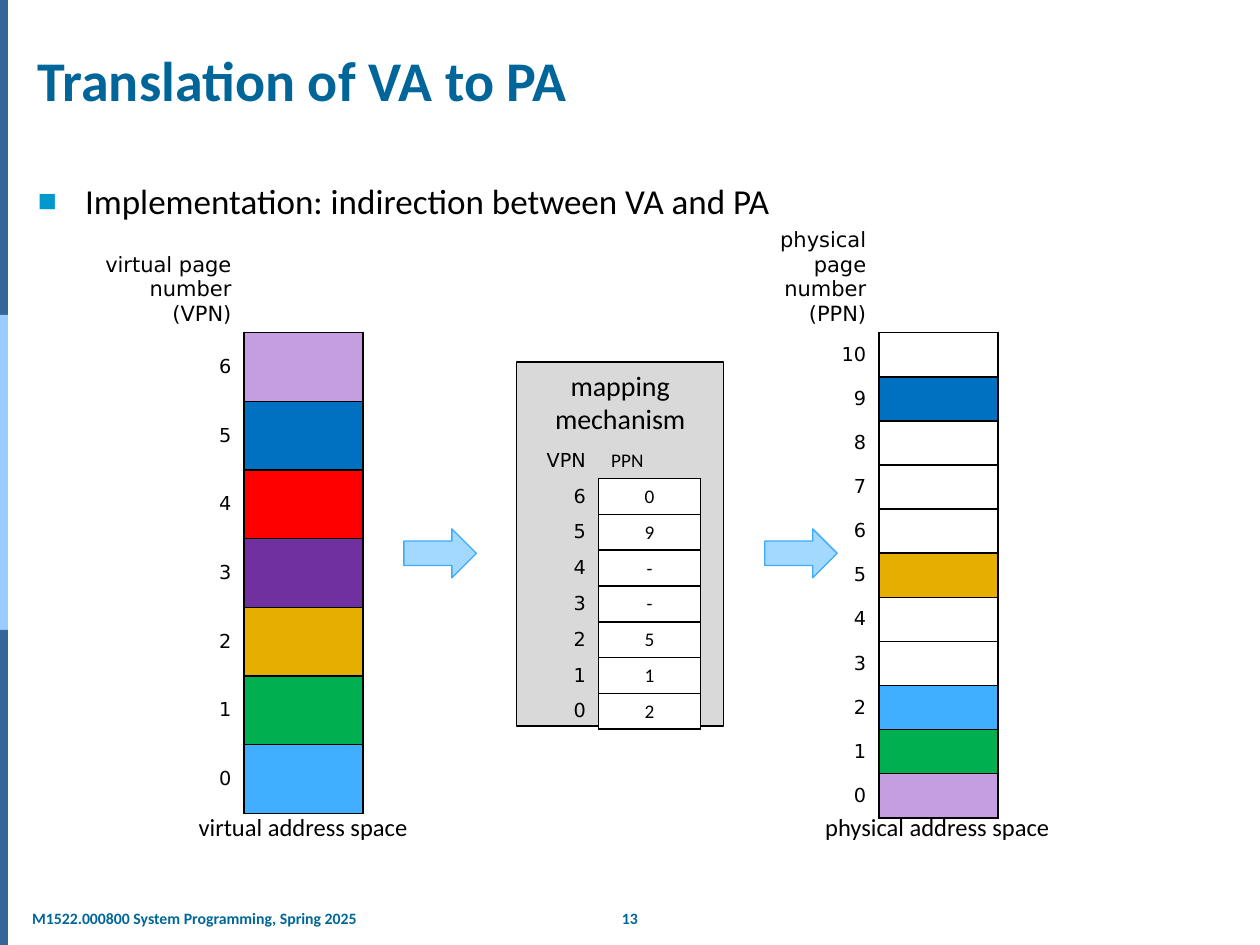
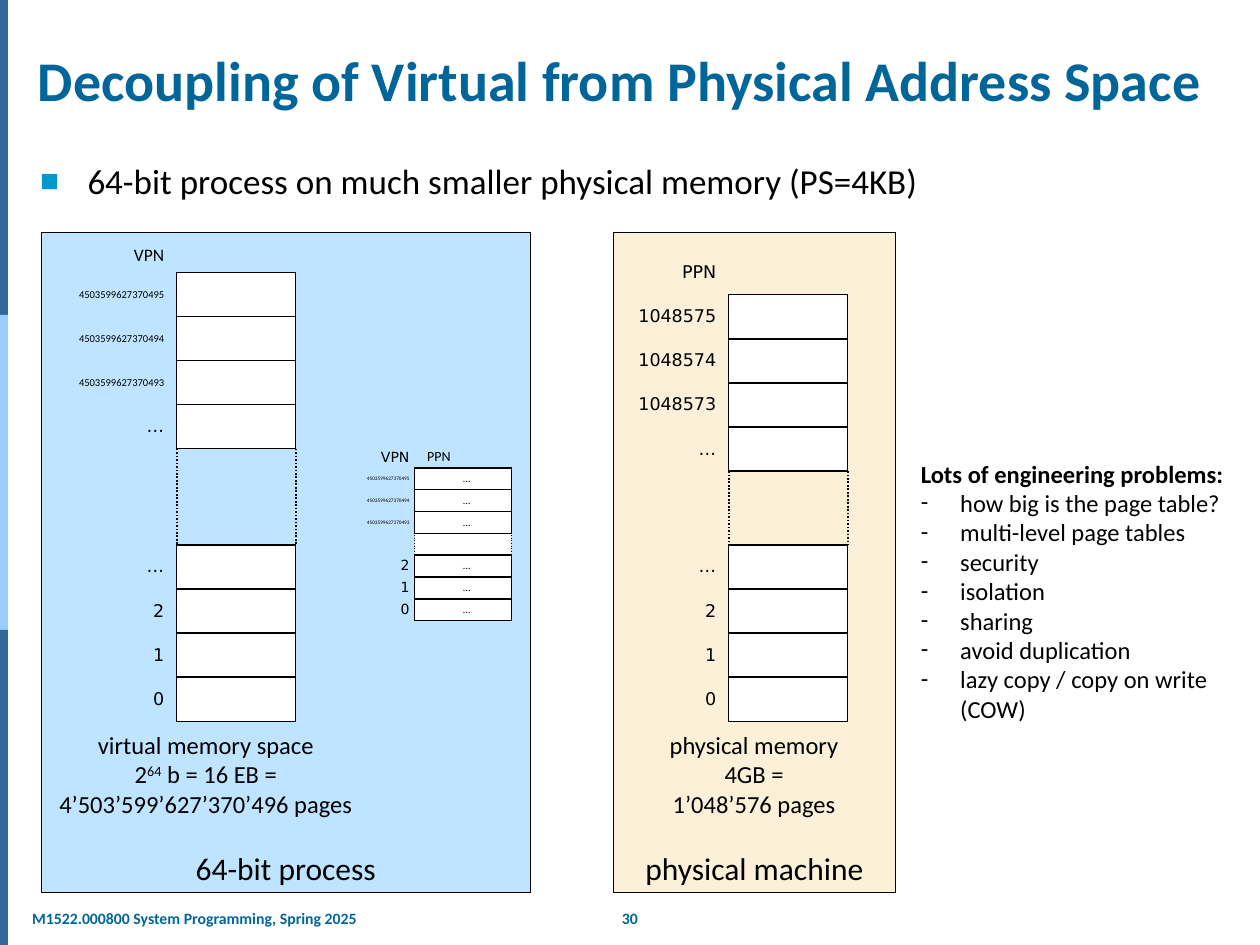
from lxml import etree
from pptx import Presentation
from pptx.dml.color import RGBColor
from pptx.enum.dml import MSO_LINE
from pptx.enum.shapes import MSO_CONNECTOR, MSO_SHAPE
from pptx.enum.text import MSO_ANCHOR, MSO_AUTO_SIZE, PP_ALIGN
from pptx.oxml.ns import qn
from pptx.util import Pt

LEFT, CENTER, RIGHT = PP_ALIGN.LEFT, PP_ALIGN.CENTER, PP_ALIGN.RIGHT
TOP, MIDDLE, BOTTOM = MSO_ANCHOR.TOP, MSO_ANCHOR.MIDDLE, MSO_ANCHOR.BOTTOM
DOTTED = MSO_LINE.ROUND_DOT
RECTANGLE, RIGHT_ARROW = MSO_SHAPE.RECTANGLE, MSO_SHAPE.RIGHT_ARROW
STRAIGHT = MSO_CONNECTOR.STRAIGHT

TEXT_FONT, NUMBER_FONT = "Calibri", "DejaVu Sans"
PLAIN_TABLE_STYLE = "{2D5ABB26-0587-4C30-8999-92F81FD0307C}"

BLACK = RGBColor(0x00, 0x00, 0x00)
WHITE = RGBColor(0xFF, 0xFF, 0xFF)
TITLE_BLUE = RGBColor(0x00, 0x66, 0x99)
BAND_DARK = RGBColor(0x33, 0x66, 0x99)
BAND_LIGHT = RGBColor(0x99, 0xCC, 0xFF)
PANEL_GREY = RGBColor(0xD9, 0xD9, 0xD9)
PANEL_BLUE = RGBColor(0xBF, 0xE4, 0xFF)
PANEL_CREAM = RGBColor(0xFC, 0xF0, 0xD8)
ARROW_FILL = RGBColor(0xA3, 0xD8, 0xFF)
ARROW_LINE = RGBColor(0x3B, 0xAC, 0xFF)
LILAC = RGBColor(0xC5, 0x9E, 0xE2)
BLUE = RGBColor(0x00, 0x70, 0xC0)
RED = RGBColor(0xFF, 0x00, 0x00)
PURPLE = RGBColor(0x70, 0x30, 0xA0)
GOLD = RGBColor(0xE6, 0xAF, 0x00)
GREEN = RGBColor(0x00, 0xB0, 0x50)
SKY = RGBColor(0x40, 0xAF, 0xFF)


def write_text(target, text, size, align=LEFT, color=BLACK, bold=False, font=TEXT_FONT):
    """Fill a shape, placeholder or table cell with evenly formatted text."""
    frame = target.text_frame
    frame.word_wrap = True
    frame.text = text
    for paragraph in frame.paragraphs:
        paragraph.alignment = align
        for run in paragraph.runs:
            run.font.name = font
            run.font.size = Pt(size)
            run.font.bold = bold
            run.font.color.rgb = color


def add_page_table(slide, left, top, widths, heights, rows, header=True, size=11,
                   long_size=6, value_size=11, header_size=None, header_font=NUMBER_FONT,
                   header_anchor=BOTTOM, pad=3.6, right_pad=7.2):
    """Rows are (label, value, fill); a label of None marks the dotted gap row."""
    frame = slide.shapes.add_table(len(rows), 2, Pt(left), Pt(top), Pt(sum(widths)), Pt(sum(heights)))
    table = frame.table
    table.first_row = table.horz_banding = False
    for style in frame.element.iter(qn("a:tableStyleId")):
        style.text = PLAIN_TABLE_STYLE
    for column, width in zip(table.columns, widths):
        column.width = Pt(width)
    for index, (label, value, fill) in enumerate(rows):
        is_header = header and index == 0
        table.rows[index].height = Pt(heights[index])
        label_cell, value_cell = table.cell(index, 0), table.cell(index, 1)

        is_long = label is not None and label.isdigit() and len(label) > 10
        label_size = long_size if is_long else size
        label_font = TEXT_FONT if is_long else NUMBER_FONT
        if is_header:
            label_size, label_font = header_size or size, header_font
        value_align = LEFT if is_header else CENTER
        write_text(label_cell, label or "", label_size, RIGHT, font=label_font)
        write_text(value_cell, value, size if is_header else value_size, value_align)

        # Page frames have four borders; a header has only the one below it
        for side in ("B",) if is_header else ("L", "R", "T", "B"):
            properties = value_cell._tc.get_or_add_tcPr()
            border = etree.SubElement(properties, qn(f"a:ln{side}"), w=str(Pt(1)))
            solid = etree.SubElement(border, qn("a:solidFill"))
            etree.SubElement(solid, qn("a:srgbClr"), val=str(BLACK))
            if label is None and side in "LR":
                etree.SubElement(border, qn("a:prstDash"), val="sysDot")

        for cell in (label_cell, value_cell):
            cell.vertical_anchor = header_anchor if is_header else MIDDLE
            cell.margin_top = cell.margin_bottom = Pt(pad)
            cell.margin_right = Pt(right_pad)
            cell.margin_left = Pt(0 if cell is label_cell else 7.2)
            if cell is label_cell or is_header:
                cell.fill.background()
            else:
                cell.fill.solid()
                cell.fill.fore_color.rgb = fill
            if not cell.text:
                etree.SubElement(cell.text_frame.paragraphs[0]._p, qn("a:endParaRPr"), sz="600")


presentation = Presentation()
presentation.slide_width, presentation.slide_height = Pt(720), Pt(540)

# Shared layout: title position, side bands, footer
layout = presentation.slide_layouts[1]
for placeholder in list(layout.placeholders)[2:]:
    placeholder.element.getparent().remove(placeholder.element)
layout_title = layout.placeholders[0]
layout_title.left, layout_title.top = Pt(14.4), Pt(22.6)
layout_title.width, layout_title.height = Pt(694.8), Pt(45.4)

# Both slides: title, bullet and page number
slides = []
for title, bullet, body_left, body_top, page in (
    ("Translation of VA to PA",
     "Implementation: indirection between VA and PA", 14.4, 99.1, "13"),
    ("Decoupling of Virtual from Physical Address Space",
     "64-bit process on much smaller physical memory (PS=4KB)", 15.8, 87.4, "30"),
):
    slide = presentation.slides.add_slide(layout)
    slides.append(slide)
    write_text(slide.shapes.title, title, 32, color=TITLE_BLUE, bold=True)
    slide.shapes.title.text_frame.vertical_anchor = BOTTOM
    slide.shapes.title.text_frame.auto_size = MSO_AUTO_SIZE.NONE

    body = slide.placeholders[1]
    body.left, body.top = Pt(body_left), Pt(body_top)
    body.width, body.height = Pt(694.8), Pt(510.5 - body_top)
    write_text(body, bullet, 20)
    body.text_frame.auto_size = MSO_AUTO_SIZE.NONE
    paragraph = body.text_frame.paragraphs[0]
    paragraph.space_before = Pt(0)
    properties = paragraph._p.get_or_add_pPr()
    properties.set("marL", str(Pt(27)))
    properties.set("indent", str(-Pt(27)))
    bullet_color = etree.SubElement(properties, qn("a:buClr"))
    etree.SubElement(bullet_color, qn("a:srgbClr"), val="0098CD")
    etree.SubElement(properties, qn("a:buSzPct"), val="90000")
    etree.SubElement(properties, qn("a:buChar"), char="■")

    page_number = slide.shapes.add_textbox(Pt(342), Pt(515.5), Pt(36), Pt(18))
    write_text(page_number, page, 9, CENTER, TITLE_BLUE, True)

translation, decoupling = slides

# Bands and footer are built once and moved to the layout
shared_shapes = []
for index, color in enumerate((BAND_DARK, BAND_LIGHT, BAND_DARK)):
    band = translation.shapes.add_shape(RECTANGLE, Pt(0), Pt(180 * index), Pt(4.5), Pt(180))
    band.shadow.inherit = False
    band.fill.solid()
    band.fill.fore_color.rgb = color
    band.line.fill.background()
    shared_shapes.append(band)
footer = translation.shapes.add_textbox(Pt(14.1), Pt(515.5), Pt(205), Pt(18))
write_text(footer, "M1522.000800 System Programming, Spring 2025", 9, color=TITLE_BLUE, bold=True)
footer.text_frame.margin_left = footer.text_frame.margin_right = Pt(4.3)
shared_shapes.append(footer)
for shape in shared_shapes:
    layout.shapes.element.append(shape.element)

# Panels
for slide, left, top, width, height, fill, text, size, anchor in (
    (translation, 295.2, 206.9, 118.4, 208, PANEL_GREY, "mapping\nmechanism", 16, TOP),
    (decoupling, 23.6, 132.8, 279.5, 377.3, PANEL_BLUE, "64-bit process", 18, BOTTOM),
    (decoupling, 350.6, 132.8, 161, 377.3, PANEL_CREAM, "physical machine", 18, BOTTOM),
):
    panel = slide.shapes.add_shape(RECTANGLE, Pt(left), Pt(top), Pt(width), Pt(height))
    panel.shadow.inherit = False
    panel.fill.solid()
    panel.fill.fore_color.rgb = fill
    panel.line.color.rgb = BLACK
    panel.line.width = Pt(0.75)
    write_text(panel, text, size, CENTER)
    panel.text_frame.vertical_anchor = anchor

# Translation: arrows, captions and tables
for left in (230.8, 437):
    arrow = translation.shapes.add_shape(RIGHT_ARROW, Pt(left), Pt(302.2), Pt(41.4), Pt(28))
    arrow.shadow.inherit = False
    arrow.fill.solid()
    arrow.fill.fore_color.rgb = ARROW_FILL
    arrow.line.color.rgb = ARROW_LINE
    arrow.line.width = Pt(0.75)
for left, width, caption in (
    (99.4, 147.6, "virtual address space"), (455, 161.3, "physical address space")
):
    caption_box = translation.shapes.add_textbox(Pt(left), Pt(460.5), Pt(width), Pt(24.5))
    write_text(caption_box, caption, 14, CENTER)

mapping = [("VPN", "PPN", None)]
mapping += [(str(6 - index), frame, WHITE) for index, frame in enumerate("09--512")]
add_page_table(translation, 303.1, 253.1, (38.9, 58.3), [20.45] * 8, mapping)

virtual_colors = (LILAC, BLUE, RED, PURPLE, GOLD, GREEN, SKY)
virtual_pages = [("virtual page number (VPN)", "", None)]
virtual_pages += [(str(6 - index), "", color) for index, color in enumerate(virtual_colors)]
page_widths = (82.6, 68)
add_page_table(translation, 56.9, 139.7, page_widths, [50.2] + [39.25] * 7,
               virtual_pages, header_size=12)

physical_colors = {9: BLUE, 5: GOLD, 2: SKY, 1: GREEN, 0: LILAC}
physical_pages = [("physical page number (PPN)", "", None)]
physical_pages += [(str(n), "", physical_colors.get(n, WHITE)) for n in range(10, -1, -1)]
add_page_table(translation, 419.6, 125.3, page_widths, [64.8] + [25.2] * 11,
               physical_pages, header_size=12)

# Decoupling: both memories, split by a dotted gap
top_virtual = [str(2**52 - n) for n in (1, 2, 3)]
top_physical = [str(2**20 - n) for n in (1, 2, 3)]
low_top = 311.4
for left, top, name, top_pages, font, anchor in (
    (18.4, 130.4, "VPN", top_virtual, TEXT_FONT, BOTTOM),
    (333.8, 143.2, "PPN", top_physical, NUMBER_FONT, MIDDLE),
):
    high_rows = [(label, "", WHITE) for label in [name, *top_pages, "…"]]
    low_rows = [(label, "", WHITE) for label in "…210"]
    add_page_table(decoupling, left, top, page_widths, [25.2] * 5, high_rows, size=10,
                   header_font=font, header_anchor=anchor)
    add_page_table(decoupling, left, low_top, page_widths, [25.2] * 4, low_rows,
                   header=False, size=10)
    gap_top = top + 5 * 25.2
    for edge in (left + page_widths[0], left + sum(page_widths)):
        gap_line = decoupling.shapes.add_connector(STRAIGHT, Pt(edge), Pt(gap_top),
                                                   Pt(edge), Pt(low_top))
        gap_line.line.color.rgb = BLACK
        gap_line.line.width = Pt(1)
        gap_line.line.dash_style = DOTTED
        etree.SubElement(gap_line.element.spPr, qn("a:effectLst"))

# Decoupling: small page table
page_table = [("VPN", "PPN", None)]
page_table += [(label, "…", WHITE) for label in top_virtual]
page_table += [(None, "", WHITE)]
page_table += [(label, "…", WHITE) for label in "210"]
add_page_table(decoupling, 191.5, 254.9, (45.4, 55.4), [12.5] * 8, page_table, size=8,
               long_size=3, value_size=6, pad=1.4, right_pad=2.9)

# Decoupling: memory sizes
virtual_size = decoupling.shapes.add_textbox(Pt(19.4), Pt(413.6), Pt(196.6), Pt(58.3))
write_text(virtual_size, "virtual memory space\n2\n4’503’599’627’370’496 pages", 14, CENTER)
for text, baseline in (("64", "30000"), (" b = 16 EB =", "0")):
    run = virtual_size.text_frame.paragraphs[1].add_run()
    run.text = text
    run.font.name = TEXT_FONT
    run.font.size = Pt(14)
    run.font.color.rgb = BLACK
    run._r.get_or_add_rPr().set("baseline", baseline)
physical_size = decoupling.shapes.add_textbox(Pt(375.1), Pt(413.6), Pt(111.6), Pt(58.3))
write_text(physical_size, "physical memory\n4GB =\n1’048’576 pages", 14, CENTER)

# Decoupling: open problems
problems = ["Lots of engineering problems:", "how big is the page table?", "multi-level page tables",
            "security", "isolation", "sharing", "avoid duplication",
            "lazy copy / copy on write (COW)"]
problem_box = decoupling.shapes.add_textbox(Pt(519.1), Pt(258.5), Pt(198.7), Pt(177))
write_text(problem_box, "\n".join(problems), 14)
heading, *items = problem_box.text_frame.paragraphs
heading.runs[0].font.bold = True
for paragraph in items:
    properties = paragraph._p.get_or_add_pPr()
    properties.set("marL", str(Pt(22.5)))
    properties.set("indent", str(-Pt(22.5)))
    etree.SubElement(properties, qn("a:buFont"), typeface=TEXT_FONT)
    etree.SubElement(properties, qn("a:buChar"), char="-")

presentation.save("out.pptx")
